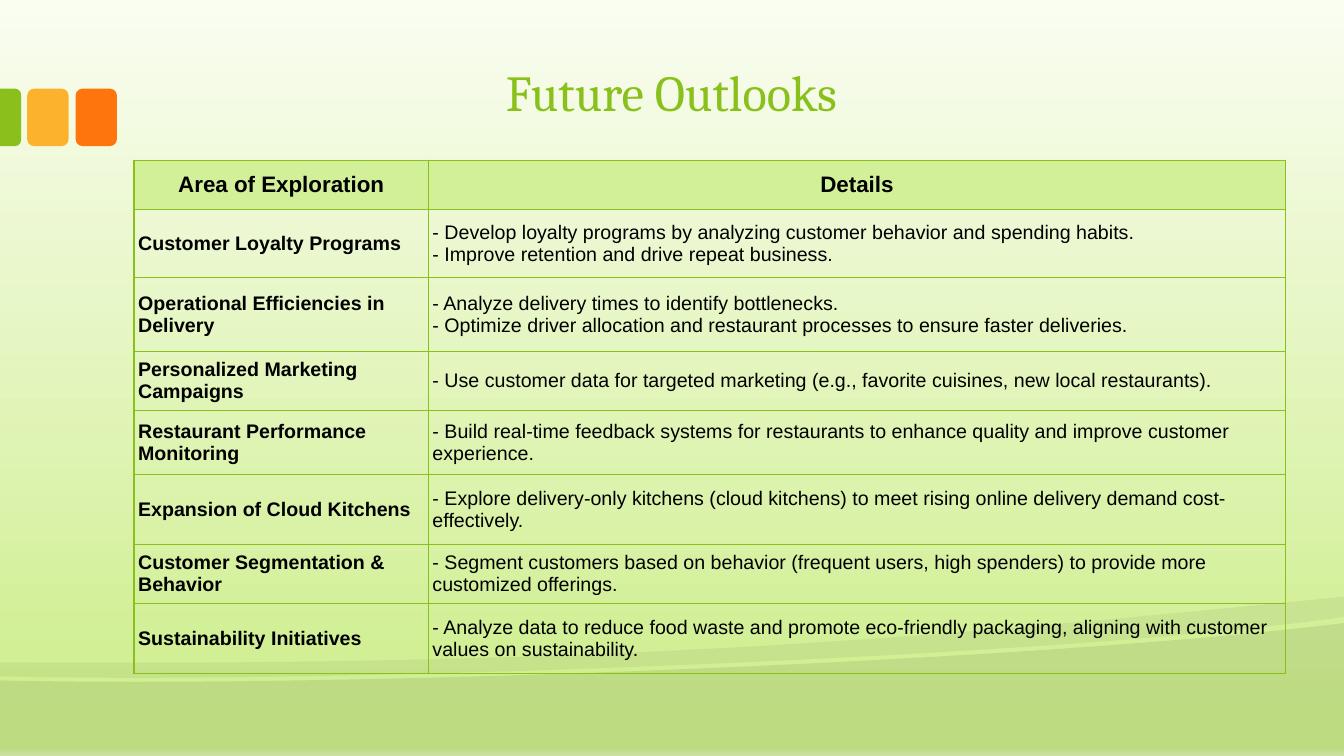
"""Build the Future Outlooks slide with its table of exploration areas."""
from copy import deepcopy

from lxml.etree import SubElement
from pptx import Presentation
from pptx.dml.color import RGBColor
from pptx.enum.shapes import MSO_SHAPE
from pptx.enum.text import MSO_ANCHOR, PP_ALIGN
from pptx.oxml import parse_xml
from pptx.oxml.ns import nsdecls, qn
from pptx.util import Inches, Pt

BLACK = RGBColor(0x00, 0x00, 0x00)
GREEN = RGBColor(0x89, 0xC0, 0x1C)
AMBER = RGBColor(0xFC, 0xB2, 0x2C)
ORANGE = RGBColor(0xFE, 0x75, 0x0E)
HEADER = RGBColor(0xD2, 0xF0, 0x98)
PALE = RGBColor(0xFA, 0xFD, 0xF2)
LIME = RGBColor(0xCE, 0xEE, 0x8D)
LIGHT_LIME = RGBColor(0xDE, 0xF4, 0xB3)

BACKGROUND = [(0, PALE), (0.94, LIME), (0.99, LIME), (1, LIGHT_LIME)]
FRONT_HILL = [
    [(13.33, 6.18)],
    [(13.33, 7.5)],
    [(0, 7.5)],
    [(0, 6.75)],
    [(3.52, 6.83), (10.42, 6.55), (13.33, 6.18)],
]
BACK_HILL = [
    [(13.33, 5.92)],
    [(13.33, 6.12)],
    [(12.55, 6.23), (11.49, 6.33), (10.29, 6.41)],
    [(6.98, 6.63), (2.58, 6.77), (0, 6.71)],
    [(0, 6.57)],
    [(6.52, 6.62), (9.71, 6.27), (13.33, 5.92)],
]
ROW_HEIGHTS = [0.49, 0.67, 0.74, 0.58, 0.64, 0.69, 0.59, 0.69]
AREAS = [
    ("Customer Loyalty Programs",
     "- Develop loyalty programs by analyzing customer behavior and spending habits.\n"
     "- Improve retention and drive repeat business."),
    ("Operational Efficiencies in Delivery",
     "- Analyze delivery times to identify bottlenecks.\n"
     "- Optimize driver allocation and restaurant processes to ensure faster deliveries."),
    ("Personalized Marketing Campaigns",
     "- Use customer data for targeted marketing (e.g., favorite cuisines, new local restaurants)."),
    ("Restaurant Performance Monitoring",
     "- Build real-time feedback systems for restaurants to enhance quality and improve "
     "customer experience."),
    ("Expansion of Cloud Kitchens",
     "- Explore delivery-only kitchens (cloud kitchens) to meet rising online delivery demand "
     "cost-effectively."),
    ("Customer Segmentation & Behavior",
     "- Segment customers based on behavior (frequent users, high spenders) to provide more "
     "customized offerings."),
    ("Sustainability Initiatives",
     "- Analyze data to reduce food waste and promote eco-friendly packaging, aligning with "
     "customer values on sustainability."),
]


class SlideBuilder:
    """Hold the style and the current slide."""

    title_font = "Cambria"
    body_font = "Arial"
    accent = GREEN

    def __init__(self, prs):
        self.s = prs.slides.add_slide(prs.slide_layouts[6])

    def background(self, stops):
        """Fill the background with a downward gradient."""
        fill = self.s.background.fill
        fill.gradient()
        fill.gradient_angle = 270
        gs_list = self.s.element.find(".//" + qn("a:gsLst"))
        while len(gs_list) < len(stops):
            gs_list.append(deepcopy(gs_list[0]))
        for stop, (position, color) in zip(fill.gradient_stops, stops):
            stop.position = position
            stop.color.rgb = color

    def paint(self, sp, color):
        """Give a shape a flat fill without line or shadow."""
        sp.shadow.inherit = False
        sp.fill.solid()
        sp.fill.fore_color.rgb = color
        sp.line.fill.background()

    def hill(self, segments, alpha):
        """Draw a translucent black outline of lines and Bezier curves."""
        corners = [tuple(map(Inches, segment[-1])) for segment in segments]
        builder = self.s.shapes.build_freeform(*corners[0])
        builder.add_line_segments(corners[1:], close=True)
        sp = builder.convert_to_shape()
        lines = sp.element.findall(".//" + qn("a:lnTo"))
        for line, segment in zip(lines, segments[1:]):
            if len(segment) == 3:
                curve = parse_xml(f'<a:cubicBezTo {nsdecls("a")}/>')
                for x, y in segment:
                    SubElement(curve, qn("a:pt"), x=str(Inches(x) - sp.left),
                               y=str(Inches(y) - sp.top))
                line.getparent().replace(line, curve)
        self.paint(sp, BLACK)
        color = sp.element.spPr.find(qn("a:solidFill") + "/" + qn("a:srgbClr"))
        SubElement(color, qn("a:alpha"), val=str(alpha * 1000))

    def tile(self, kind, box, color, adjustments, rotation=0):
        """Draw a rounded tile."""
        sp = self.s.shapes.add_shape(kind, *map(Inches, box))
        sp.rotation = rotation
        for i, value in enumerate(adjustments):
            sp.adjustments[i] = value
        self.paint(sp, color)

    def run(self, p, text, size, font, color, bold=False):
        """Add a styled run to a paragraph."""
        r = p.add_run()
        r.text = text
        r.font.size = Pt(size)
        r.font.name = font
        r.font.bold = bold
        r.font.color.rgb = color

    def title(self, text, box):
        """Add the centred title."""
        tf = self.s.shapes.add_textbox(*map(Inches, box)).text_frame
        tf.word_wrap = True
        tf.vertical_anchor = MSO_ANCHOR.BOTTOM
        tf.margin_left = tf.margin_right = Inches(0.13)
        tf.margin_top = tf.margin_bottom = Inches(0.07)
        p = tf.paragraphs[0]
        p.alignment = PP_ALIGN.CENTER
        self.run(p, text, 36, self.title_font, self.accent)

    def cell(self, cell, text, header, bold):
        """Fill one table cell and draw its borders."""
        cell.vertical_anchor = MSO_ANCHOR.MIDDLE
        cell.margin_left = cell.margin_right = Inches(0.04)
        cell.margin_top = cell.margin_bottom = Inches(0.02)
        if header:
            cell.fill.solid()
            cell.fill.fore_color.rgb = HEADER
        else:
            cell.fill.background()
        p = cell.text_frame.paragraphs[0]
        p.alignment = PP_ALIGN.CENTER if header else PP_ALIGN.LEFT
        for i, line in enumerate(text.split("\n")):
            if i:
                p.add_line_break()
            self.run(p, line, 16 if header else 14, self.body_font, BLACK, bold)
        properties = cell._tc.get_or_add_tcPr()
        for i, side in enumerate("LRTB"):
            properties.insert(i, parse_xml(
                f'<a:ln{side} {nsdecls("a")} w="{Pt(1)}"><a:solidFill>'
                f'<a:srgbClr val="{self.accent}"/></a:solidFill></a:ln{side}>'))

    def table(self, rows, box, widths, heights):
        """Add a table whose first row is the header."""
        table = self.s.shapes.add_table(len(rows), len(widths), *map(Inches, box)).table
        table.first_row = table.horz_banding = False
        for column, width in zip(table.columns, widths):
            column.width = Inches(width)
        for i, (row, height) in enumerate(zip(rows, heights)):
            table.rows[i].height = Inches(height)
            for j, text in enumerate(row):
                self.cell(table.cell(i, j), text, i == 0, i == 0 or j == 0)


def main():
    """Build and save the slide."""
    prs = Presentation()
    prs.slide_width, prs.slide_height = Inches(13.33), Inches(7.5)
    slide = SlideBuilder(prs)
    slide.background(BACKGROUND)
    slide.hill(FRONT_HILL, 8)
    slide.hill(BACK_HILL, 5)
    for left, color in ((0.75, ORANGE), (0.27, AMBER)):
        slide.tile(MSO_SHAPE.ROUNDED_RECTANGLE, (left, 0.88, 0.41, 0.57), color, [0.167])
    slide.tile(MSO_SHAPE.ROUND_2_SAME_RECTANGLE, (-0.18, 1.06, 0.57, 0.21),
               GREEN, [0.292, 0], 90)
    slide.title("Future Outlooks", (1.33, 0.36, 10.66, 0.92))
    slide.table([("Area of Exploration", "Details")] + AREAS,
                (1.33, 1.59, 11.42, 5.09), [2.92, 8.5], ROW_HEIGHTS)
    prs.save("out.pptx")


if __name__ == "__main__":
    main()
